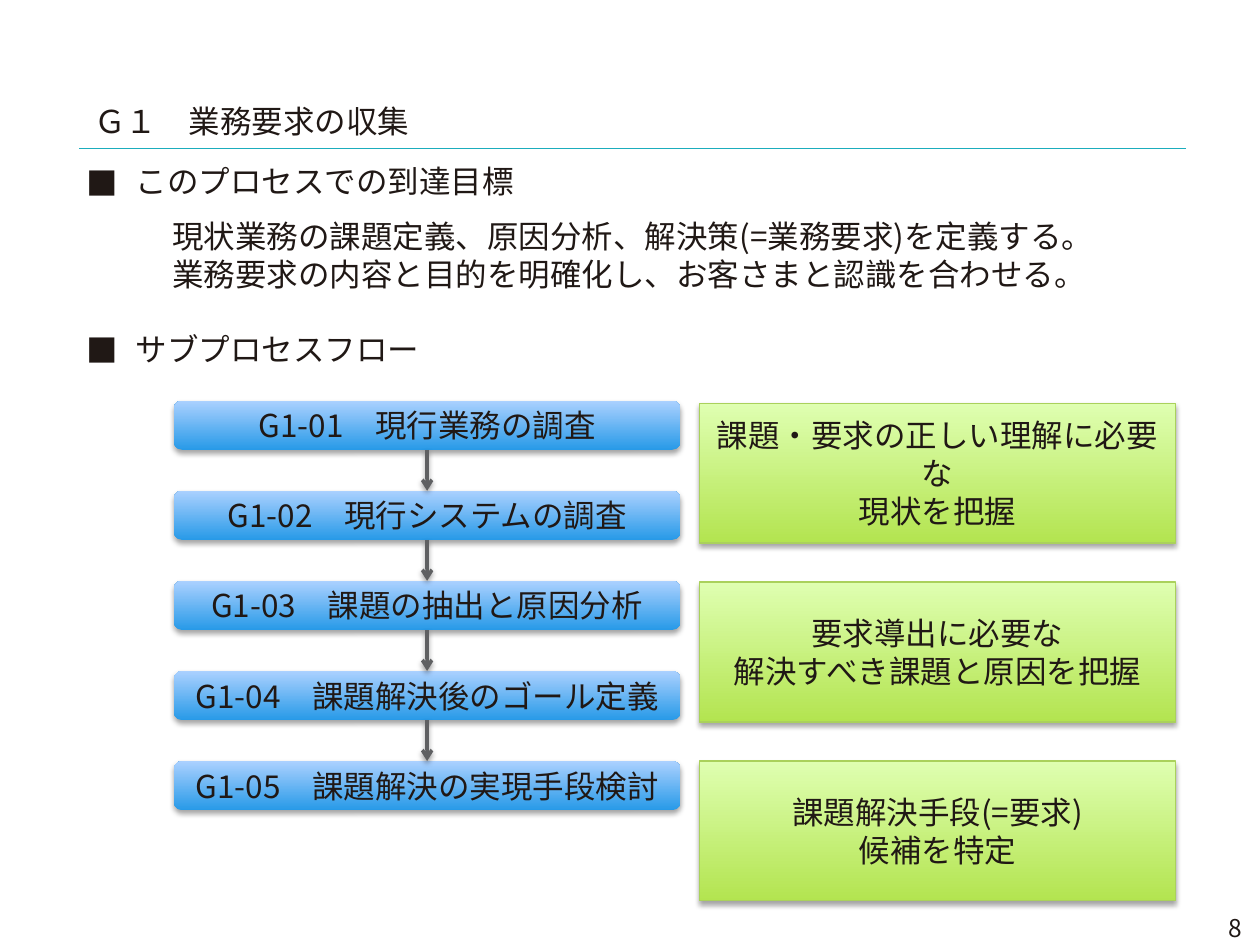
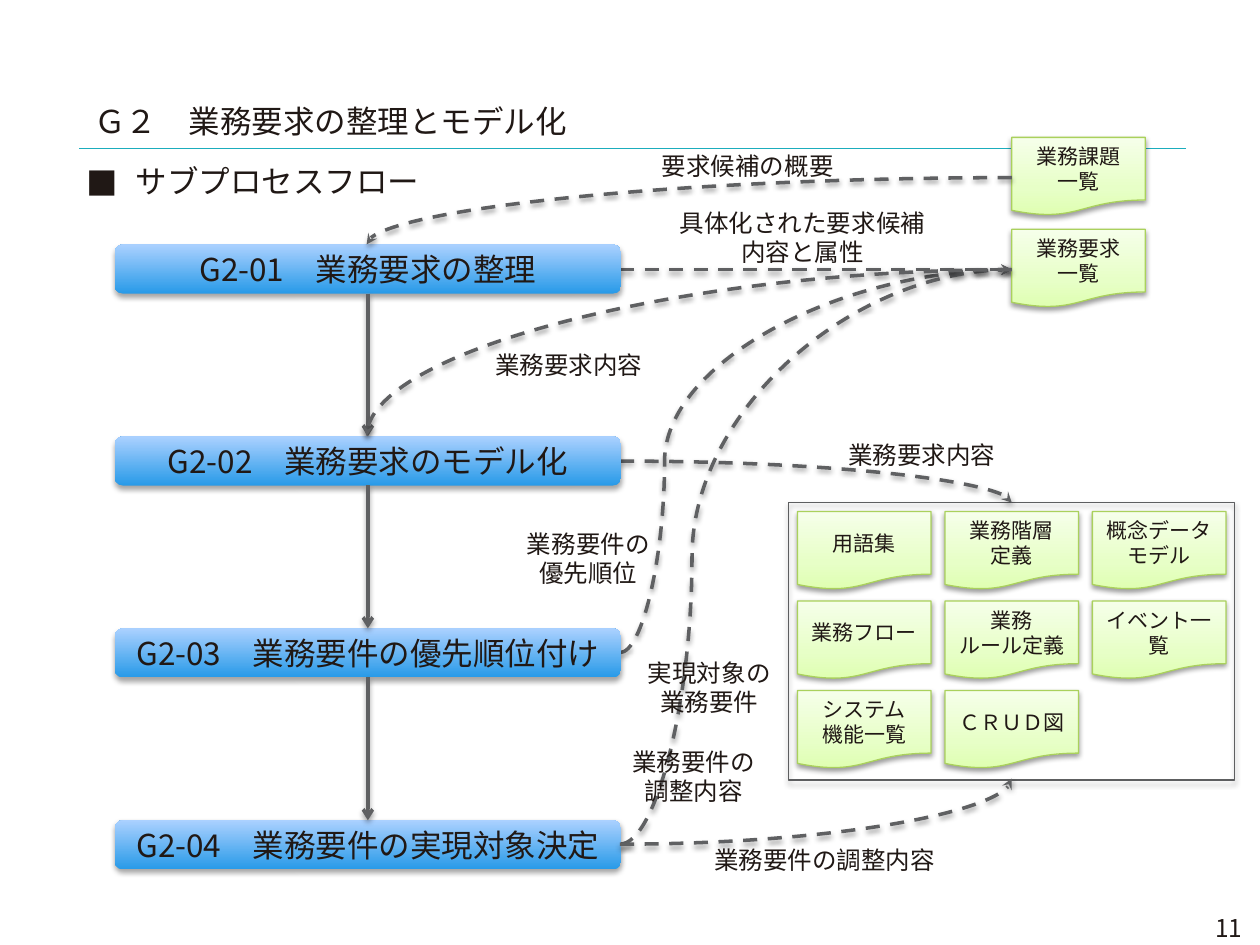
from lxml.etree import SubElement
from pptx import Presentation
from pptx.dml.color import RGBColor
from pptx.enum.dml import MSO_LINE
from pptx.enum.shapes import MSO_CONNECTOR, MSO_SHAPE
from pptx.enum.text import MSO_ANCHOR, PP_ALIGN
from pptx.oxml.ns import qn
from pptx.util import Inches, Pt

FONT = "Noto Sans CJK JP"
INK = RGBColor(0x20, 0x18, 0x15)
TEAL = RGBColor(0x1B, 0xAD, 0xBD)
GREY = RGBColor(0x5F, 0x60, 0x62)
EDGE = RGBColor(0x5D, 0x5E, 0x60)
GREEN = RGBColor(0xAA, 0xD1, 0x5C)
BLUE_FADE = [(0, RGBColor(0x28, 0x9A, 0xE8)), (100, RGBColor(0xAB, 0xD1, 0xFF))]
LIME_FADE = [(0, RGBColor(0xB3, 0xE4, 0x50)), (100, RGBColor(0xDF, 0xFF, 0xB1))]
PALE_FADE = [(0, RGBColor(0xDF, 0xFF, 0xB1)), (35, RGBColor(0xE7, 0xFF, 0xC7)),
             (100, RGBColor(0xF6, 0xFF, 0xEA))]
BAR_W, BAR_H = 4.02, 0.39
DOC_W, DOC_H = 1.06, 0.62
SOFT = (35, 1.8)
FIRM = (38, 1.6)


def add(parent, tag, **attrs):
    return SubElement(parent, qn(tag), {key: str(val) for key, val in attrs.items()})


def write(frame, text, size, align=PP_ALIGN.LEFT):
    frame.word_wrap = True
    frame.text = text
    for para in frame.paragraphs:
        para.alignment = align
        for run in para.runs:
            run.font.size = Pt(size)
            run.font.color.rgb = INK
            run.font.name = FONT
            add(run.font._element, "a:ea", typeface=FONT)


def shade(effects, look):
    alpha, dist = look
    drop = add(effects, "a:outerShdw", blurRad=Pt(3.1), dist=Pt(dist),
               dir=5400000, rotWithShape=0)
    add(add(drop, "a:srgbClr", val="000000"), "a:alpha", val=alpha * 1000)


def fade(shape, stops):
    shape.fill.gradient()
    shape.fill.gradient_angle = 90
    stop_list = shape._element.spPr.find(qn("a:gradFill")).find(qn("a:gsLst"))
    for old in list(stop_list):
        stop_list.remove(old)
    for spot, color in stops:
        add(add(stop_list, "a:gs", pos=spot * 1000), "a:srgbClr", val=color)


def label(slide, text, left, top, width, height, size=14, align=PP_ALIGN.CENTER):
    box = slide.shapes.add_textbox(Inches(left), Inches(top), Inches(width), Inches(height))
    write(box.text_frame, text, size, align)
    return box.text_frame


def panel(slide, kind, left, top, width, height, stops=None, edge=None,
          look=SOFT, text="", size=18):
    shape = slide.shapes.add_shape(kind, Inches(left), Inches(top), Inches(width), Inches(height))
    if stops:
        fade(shape, stops)
    else:
        shape.fill.background()
    if edge:
        shape.line.color.rgb = edge
        shape.line.width = Pt(0.75)
    else:
        shape.line.fill.background()
    shape.shadow.inherit = False
    shade(shape._element.spPr.find(qn("a:effectLst")), look)
    if text:
        shape.text_frame.vertical_anchor = MSO_ANCHOR.MIDDLE
        write(shape.text_frame, text, size, PP_ALIGN.CENTER)


def sheet(slide, text, left, top):
    panel(slide, MSO_SHAPE.FLOWCHART_DOCUMENT, left, top, DOC_W, DOC_H,
          PALE_FADE, GREEN, FIRM, text, 12)


def link(slide, start, end, kind=MSO_CONNECTOR.STRAIGHT, color=GREY, width=2):
    line = slide.shapes.add_connector(kind, *map(Inches, start + end))
    line.line.color.rgb = color
    line.line.width = Pt(width)
    return line


def arrow(slide, start, end, head="arrow", kind=MSO_CONNECTOR.STRAIGHT):
    line = link(slide, start, end, kind)
    if head == "stealth":
        line.line.dash_style = MSO_LINE.DASH
    add(line.line._get_or_add_ln(), "a:tailEnd", type=head)
    shade(add(line._element.spPr, "a:effectLst"), FIRM)
    return line


def curve(slide, start, end, bend=None):
    line = arrow(slide, start, end, "stealth", MSO_CONNECTOR.CURVE)
    props = line._element.spPr
    shape = props.find(qn("a:prstGeom"))
    if bend:
        add(shape.find(qn("a:avLst")), "a:gd", name="adj1", fmla=f"val {bend}")
        return
    shape.set("prst", "curvedConnector2")
    if start[0] > end[0]:
        place = props.find(qn("a:xfrm"))
        del place.attrib["flipH"]
        place.set("flipV", "1")
        place.set("rot", "10800000")


def flow(slide, steps, left, top, last):
    pitch = (last - top) / (len(steps) - 1)
    mid = left + BAR_W / 2
    for i, step in enumerate(steps):
        y = top + i * pitch
        panel(slide, MSO_SHAPE.ROUNDED_RECTANGLE, left, y, BAR_W, BAR_H, BLUE_FADE, text=step)
        if i:
            arrow(slide, (mid, y - pitch + BAR_H), (mid, y))


def indent(para, left, hang=0):
    props = para._p.get_or_add_pPr()
    props.set("marL", str(Inches(left)))
    props.set("indent", str(Inches(-hang)))
    return props


def bullet(para):
    props = indent(para, 0.39, 0.39)
    add(props, "a:buFont", typeface=FONT)
    add(props, "a:buChar", char="■")


def base(deck, title, number):
    slide = deck.slides.add_slide(deck.slide_layouts[6])
    link(slide, (0.63, 1.18), (9.41, 1.18), color=TEAL, width=0.25).shadow_off = None
    return slide


def start(deck, title, number):
    slide = deck.slides.add_slide(deck.slide_layouts[6])
    rule = link(slide, (0.63, 1.18), (9.41, 1.18), color=TEAL, width=0.25)
    add(rule._element.spPr, "a:effectLst")
    label(slide, number, 8.57, 7.2, 1.39, 0.31, align=PP_ALIGN.RIGHT)
    label(slide, title, 0.65, 0.76, 6.38, 0.39, 18, PP_ALIGN.LEFT)
    return slide


def gather(deck):
    slide = start(deck, "Ｇ１　業務要求の収集", "8")
    goals = label(slide, "このプロセスでの到達目標\n"
                  "現状業務の課題定義、原因分析、解決策(=業務要求)を定義する。\n"
                  "業務要求の内容と目的を明確化し、お客さまと認識を合わせる。\n"
                  "サブプロセスフロー", 0.59, 1.24, 8.98, 1.75, 18, PP_ALIGN.LEFT)
    aim, first, second, sub = goals.paragraphs
    first.space_before = Pt(9.5)
    sub.space_before = Pt(21.5)
    for para in (aim, sub):
        bullet(para)
    for para in (first, second):
        indent(para, 0.68)
    flow(slide, ["G1-01　現行業務の調査", "G1-02　現行システムの調査",
                 "G1-03　課題の抽出と原因分析", "G1-04　課題解決後のゴール定義",
                 "G1-05　課題解決の実現手段検討"], 1.38, 3.18, 6.04)
    gains = ["課題・要求の正しい理解に必要な\n現状を把握",
             "要求導出に必要な\n解決すべき課題と原因を把握",
             "課題解決手段(=要求)\n候補を特定"]
    for i, gain in enumerate(gains):
        panel(slide, MSO_SHAPE.RECTANGLE, 5.55, 3.2 + 1.42 * i, 3.78, 1.11,
              LIME_FADE, GREEN, text=gain)


def model(deck):
    slide = start(deck, "Ｇ２　業務要求の整理とモデル化", "11")
    head = label(slide, "サブプロセスフロー", 0.59, 1.24, 8.98, 0.4, 18, PP_ALIGN.LEFT)
    bullet(head.paragraphs[0])

    panel(slide, MSO_SHAPE.RECTANGLE, 6.26, 3.99, 3.54, 2.2, edge=EDGE)
    docs = ["用語集", "業務階層\n定義", "概念データ\nモデル",
            "業務フロー", "業務\nルール定義", "イベント一覧",
            "システム\n機能一覧", "ＣＲＵＤ図"]
    for i, doc in enumerate(docs):
        row, col = divmod(i, 3)
        sheet(slide, doc, 6.33 + 1.17 * col, 4.06 + 0.71 * row)

    right, mid, port = 4.92, 2.91, 8.03
    needs = (port, 2.14)
    curve(slide, (right, 3.66), (port, 3.99))
    curve(slide, (right, 5.18), needs, 11400)
    curve(slide, (right, 6.7), needs, 18400)
    arrow(slide, (right, 2.14), needs, "stealth")
    flow(slide, ["G2-01　業務要求の整理", "G2-02　業務要求のモデル化",
                 "G2-03　業務要件の優先順位付け", "G2-04　業務要件の実現対象決定"],
         0.91, 1.94, 6.51)
    sheet(slide, "業務課題\v一覧", port, 1.09)
    sheet(slide, "業務要求\n一覧", port, 1.82)
    curve(slide, (port, 1.41), (mid, 1.94))
    curve(slide, needs, (mid, 3.46))
    curve(slide, (right, 6.7), (port, 6.18))

    notes = [("要求候補の概要", 5, 1.15, 1.87, 0.34),
             ("具体化された要求候補内容と属性", 5.24, 1.6, 2.26, 0.57),
             ("業務要求内容", 3.58, 2.73, 1.87, 0.34),
             ("業務要求内容", 6.32, 3.44, 1.99, 0.34),
             ("業務要件の\n優先順位", 3.79, 4.15, 1.76, 0.57),
             ("実現対象の\n業務要件", 4.9, 5.17, 1.46, 0.57),
             ("業務要件の\n調整内容", 4.51, 5.88, 1.99, 0.57),
             ("業務要件の調整内容", 5.08, 6.66, 2.93, 0.34)]
    for note in notes:
        label(slide, *note)


def main():
    deck = Presentation()
    deck.slide_width = Inches(10)
    deck.slide_height = Inches(7.5)
    gather(deck)
    model(deck)
    deck.save("out.pptx")


if __name__ == "__main__":
    main()
